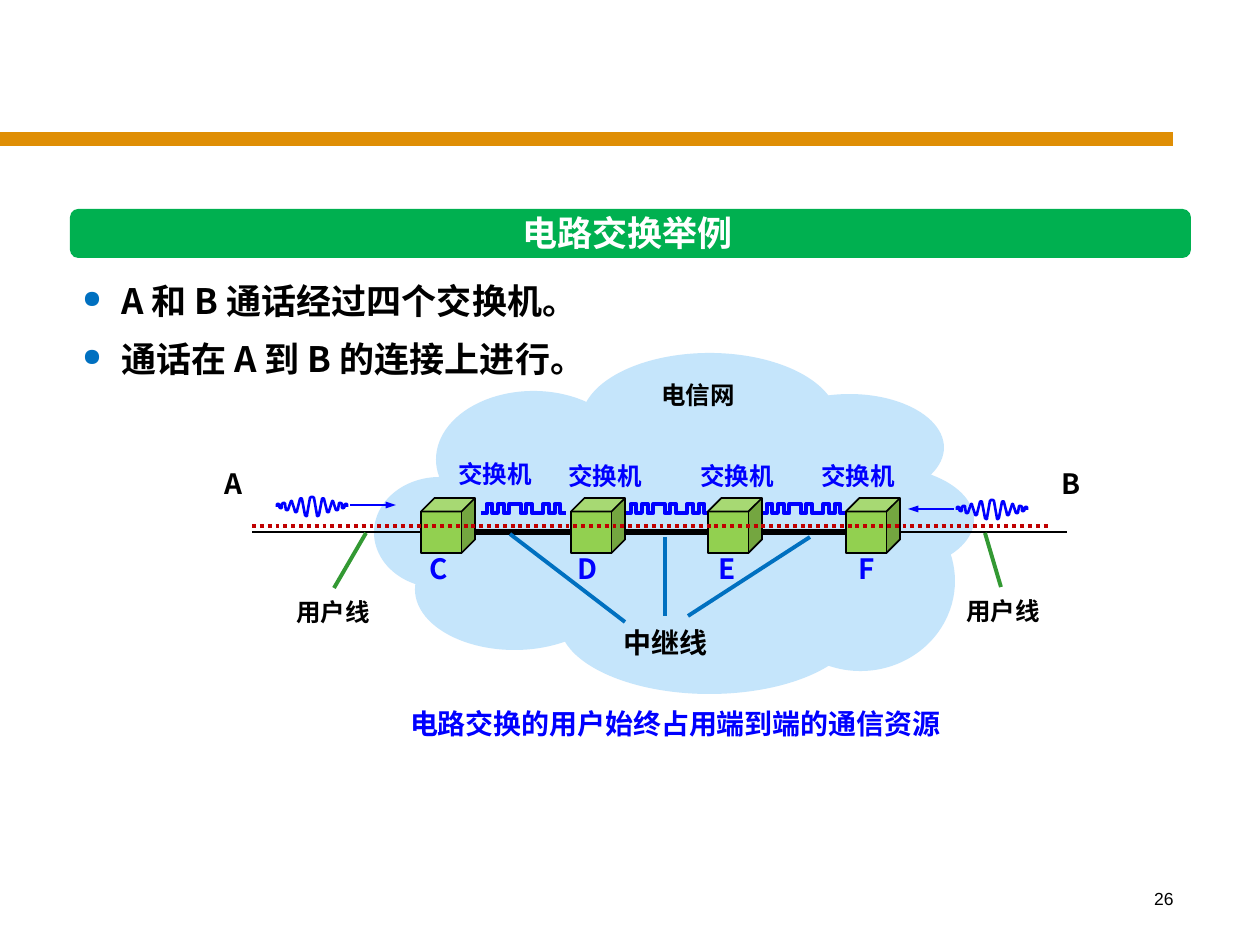
from lxml.etree import SubElement
from pptx import Presentation
from pptx.dml.color import RGBColor
from pptx.enum.dml import MSO_LINE
from pptx.enum.shapes import MSO_CONNECTOR, MSO_SHAPE
from pptx.enum.text import MSO_ANCHOR, PP_ALIGN
from pptx.oxml.ns import qn
from pptx.util import Emu, Pt

PX = 914400 / 126
CJK = "Noto Sans CJK SC"
BLACK = RGBColor(0x00, 0x00, 0x00)
WHITE = RGBColor(0xFF, 0xFF, 0xFF)
BLUE = RGBColor(0x00, 0x00, 0xFF)
SKY = RGBColor(0xC5, 0xE5, 0xFB)
ORANGE = RGBColor(0xDF, 0x8E, 0x05)
GREEN = RGBColor(0x00, 0xB0, 0x50)
LIME = RGBColor(0x92, 0xD0, 0x50)
DARK_GREEN = RGBColor(0x33, 0x99, 0x33)
TRUNK_BLUE = RGBColor(0x00, 0x70, 0xC0)
RED = RGBColor(0xC0, 0x00, 0x00)

deck = Presentation()
deck.slide_width, deck.slide_height = Emu(round(1260 * PX)), Emu(round(945 * PX))
page = deck.slides.add_slide(deck.slide_layouts[6])
px = lambda *lengths: [Emu(round(length * PX)) for length in lengths]


def add_label(text, bounds, size, color, font=CJK, bold=True,
              align=PP_ALIGN.LEFT, anchor=MSO_ANCHOR.MIDDLE):
    frame = page.shapes.add_textbox(*px(*bounds)).text_frame
    frame.word_wrap = False
    frame.vertical_anchor = anchor
    for index, line in enumerate(text.split("\n")):
        para = frame.add_paragraph() if index else frame.paragraphs[0]
        para.alignment = align
        span = para.add_run()
        span.text = line
        span.font.size = Pt(size)
        span.font.bold = bold
        span.font.name = font
        span.font.color.rgb = color
        SubElement(span.font._element, qn("a:ea"), typeface=CJK)
    return frame


def add_line(ends, color, width, shapes=page.shapes):
    line = shapes.add_connector(MSO_CONNECTOR.STRAIGHT, *px(*ends))
    line.line.color.rgb = color
    line.line.width = Pt(width)
    SubElement(line._element.spPr, qn("a:effectLst"))
    return line


# Page frame and conclusion
add_line((0, 139, 1173, 139), ORANGE, 8)
add_label("26", (924, 882, 262, 63), 10, BLACK, "Arial", False,
          PP_ALIGN.RIGHT, MSO_ANCHOR.TOP)
add_label("电路交换的用户始终占用端到端的通信资源", (397, 700, 557, 47), 16, BLUE,
          align=PP_ALIGN.CENTER)

# Cloud of the telecom network
cloud = page.shapes.add_group_shape()
for bounds in (
    (581, 353, 257, 137), (436, 391, 195, 137), (374, 477, 131, 111),
    (415, 529, 199, 121), (559, 549, 301, 145), (755, 394, 189, 107),
    (785, 466, 189, 107), (766, 491, 189, 180), (484, 436, 388, 179),
):
    puff = cloud.shapes.add_shape(MSO_SHAPE.OVAL, *px(*bounds))
    puff.shadow.inherit = False
    puff.fill.solid()
    puff.fill.fore_color.rgb = SKY
    puff.line.fill.background()

# Trunk, subscriber lines and their pointers
for ends, color, width in (
    ((450, 532, 866, 532), BLACK, 3),
    ((252, 532, 432, 532), BLACK, 1.5),
    ((874, 532, 1067, 532), BLACK, 1.5),
    ((510, 534, 625, 622), TRUNK_BLUE, 2.25),
    ((665, 537, 665, 616), TRUNK_BLUE, 2.25),
    ((810, 537, 688, 616), TRUNK_BLUE, 2.25),
    ((366, 533, 334, 588), DARK_GREEN, 2.25),
    ((985, 533, 1001, 587), DARK_GREEN, 2.25),
):
    add_line(ends, color, width)

# Names in the network
for text, left, top, width, size in (
    ("A", 212, 460, 47, 16), ("B", 1049, 460, 44, 16),
    ("电信网", 649, 373, 102, 14), ("中继线", 611, 619, 114, 16),
    ("用户线", 284, 590, 102, 14), ("用户线", 954, 589, 102, 14),
):
    add_label(text, (left, top, width, 47 if size == 16 else 43), size, BLACK)

# Analog voice: half a wave, mirrored about its centre, as x and y steps
OUTER = [(-35, 0), (-35, -3), (-33, -3), (-33, -1), (-32, 1), (-30, 1),
         (-30, -3), (-29, -4), (-27, -4), (-27, -3), (-26, 3), (-24, 3), (-22, -3)]
INNER = [(-22, -3), (-21, -6), (-20, -6), (-20, -5), (-17, 4), (-17, 5),
         (-15, 5), (-15, 4), (-12, -8), (-11, -9), (-10, -8), (-7, 8),
         (-6, 9), (-5, 9), (-5, 8), (-2, -9), (-1, -10), (0, -10)]
signals = []
for center, middle, arrow in (
    (992, 510, (954, 509, 908, 509)), (312, 507, (350, 505, 396, 505)),
):
    voice = page.shapes.add_group_shape()
    for side in (1, -1):
        for half in (OUTER, INNER):
            points = [(side * x, y) for x, y in half]
            signals.append((voice.shapes, points, (PX, PX), (center, middle), 1.5))
    pointer = add_line(arrow, BLUE, 1.5, voice.shapes)
    SubElement(pointer.line._get_or_add_ln(), qn("a:tailEnd"),
               type="triangle", w="sm", len="med")

# Digital pulses: alternating low and high levels, widths in steps
pulse, step = [], 0
for index, width in enumerate((1, 1, 1, 1, 1, 2, 1, 1, 2, 1, 1, 1, 1)):
    level = (index + 1) % 2
    pulse += [(step, level), (step + width, level)]
    step += width
for left in (481, 625, 761):
    signals.append((page.shapes, pulse, (85 * PX / step, 9 * PX), (left, 504), 2.25))

for shapes, points, scale, origin, width in signals:
    builder = shapes.build_freeform(*points[0], scale=scale)
    builder.add_line_segments(points[1:], close=False)
    wave = builder.convert_to_shape(*px(*origin))
    wave.shadow.inherit = False
    wave.fill.background()
    wave.line.color.rgb = BLUE
    wave.line.width = Pt(width)

# Switches
for letter, left, letter_left, letter_width, name_left, name_top in (
    ("C", 421, 417, 44, 446, 452), ("D", 571, 565, 48, 556, 454),
    ("E", 708, 706, 42, 688, 454), ("F", 846, 846, 40, 809, 454),
):
    cube = page.shapes.add_shape(MSO_SHAPE.CUBE, *px(left, 498, 54, 55))
    cube.shadow.inherit = False
    cube.fill.solid()
    cube.fill.fore_color.rgb = LIME
    cube.line.color.rgb = BLACK
    cube.line.width = Pt(1)
    add_label("交换机", (name_left, name_top, 102, 43), 14, BLUE)
    add_label(letter, (letter_left, 545, letter_width, 47), 16, BLUE)

# Heading
banner = page.shapes.add_shape(MSO_SHAPE.ROUNDED_RECTANGLE, *px(70, 209, 1121, 49))
banner.shadow.inherit = False
banner.adjustments[0] = 0.17
banner.fill.solid()
banner.fill.fore_color.rgb = GREEN
banner.line.fill.background()
add_label("电路交换举例", (510, 205, 236, 55), 20, WHITE, "Arial")

# Bullets
bullets = add_label("A 和 B 通话经过四个交换机。\n通话在 A 到 B 的连接上进行。",
                    (70, 258, 1070, 129), 20, BLACK, anchor=MSO_ANCHOR.TOP)
bullets.word_wrap = True
for para in bullets.paragraphs:
    para.line_spacing = Pt(33)
    props = para._p.get_or_add_pPr()
    indent = px(39)[0]
    props.set("marL", str(indent))
    props.set("indent", str(-indent))
    SubElement(SubElement(props, qn("a:buClr")), qn("a:srgbClr"), val=str(TRUNK_BLUE))
    SubElement(props, qn("a:buSzPct"), val="70000")
    SubElement(props, qn("a:buChar"), char="●")

# Connection from A to B
connection = add_line((252, 526, 1048, 526), RED, 2.25)
connection.line.dash_style = MSO_LINE.ROUND_DOT

deck.save("out.pptx")
